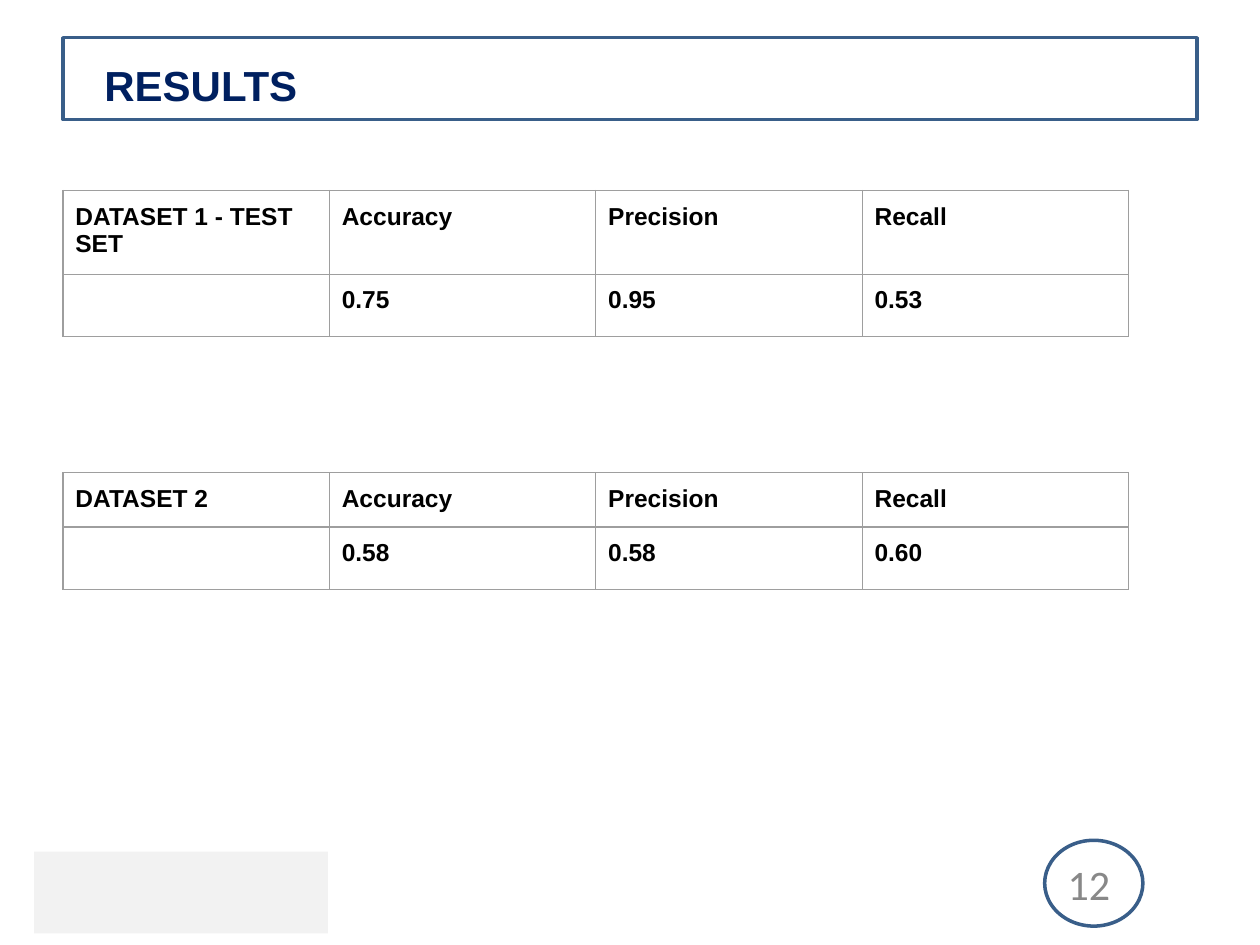
from dataclasses import dataclass

import pptx
import pptx.dml.color
import pptx.enum.shapes
import pptx.enum.text
import pptx.oxml
import pptx.oxml.ns
import pptx.util

Cm = pptx.util.Cm
Pt = pptx.util.Pt
SHAPES = pptx.enum.shapes.MSO_SHAPE
ALIGN = pptx.enum.text.PP_ALIGN
MIDDLE = pptx.enum.text.MSO_ANCHOR.MIDDLE


@dataclass(frozen=True)
class Theme:
    navy: str = "002060"
    outline: str = "395E89"
    panel: str = "F2F2F2"
    number: str = "888888"
    ink: str = "000000"
    grid: str = "9E9E9E"
    heading_size: int = 24
    cell_size: int = 14
    outline_width: int = 2
    grid_width: float = 0.75


theme = Theme()


def add_span(para, text, font, size, color, bold=False):
    span = para.add_run()
    span.text = text
    span.font.name = font
    span.font.size = Pt(size)
    span.font.bold = bold
    span.font.color.rgb = pptx.dml.color.RGBColor.from_string(color)


def add_borders(cell):
    """Draw a thin line on all four sides of a table cell."""
    properties = cell._tc.get_or_add_tcPr()
    for index, side in enumerate(("lnL", "lnR", "lnT", "lnB")):
        properties.insert(index, pptx.oxml.parse_xml(
            f'<a:{side} {pptx.oxml.ns.nsdecls("a")} w="{Pt(theme.grid_width)}">'
            f'<a:solidFill><a:srgbClr val="{theme.grid}"/></a:solidFill></a:{side}>'))


deck = pptx.Presentation()
deck.slide_width = Cm(25.4)
deck.slide_height = Cm(19.05)
page = deck.slides.add_slide(deck.slide_layouts[5])

# Footer panel, title frame and number ring
decorations = [
    (SHAPES.RECTANGLE, 0.69, 17.17, 5.92, 1.65, theme.panel, None),
    (SHAPES.RECTANGLE, 1.27, 0.76, 22.86, 1.65, None, theme.outline),
    (SHAPES.OVAL, 21.06, 16.94, 1.98, 1.73, None, theme.outline),
]
for kind, left, top, width, height, fill, line in decorations:
    shape = page.shapes.add_shape(kind, Cm(left), Cm(top), Cm(width), Cm(height))
    shape.shadow.inherit = False
    if fill:
        shape.fill.solid()
        shape.fill.fore_color.rgb = pptx.dml.color.RGBColor.from_string(fill)
    else:
        shape.fill.background()
    if line:
        shape.line.color.rgb = pptx.dml.color.RGBColor.from_string(line)
        shape.line.width = Pt(theme.outline_width)
    else:
        shape.line.fill.background()

# Title
title = page.shapes.title
title.left, title.top, title.width, title.height = Cm(1.85), Cm(1.19), Cm(22.43), Cm(1.02)
title.text_frame.vertical_anchor = MIDDLE
para = title.text_frame.paragraphs[0]
para.alignment = ALIGN.LEFT
add_span(para, "RESULTS", "Arial", theme.heading_size, theme.navy, bold=True)

# Page number
number_box = page.shapes.add_textbox(Cm(16.71), Cm(17.2), Cm(5.92), Cm(1.22))
number_box.text_frame.word_wrap = True
number_box.text_frame.vertical_anchor = MIDDLE
para = number_box.text_frame.paragraphs[0]
para.alignment = ALIGN.RIGHT
add_span(para, "12", "Calibri", theme.heading_size, theme.number)

# Result tables
metrics = ["Accuracy", "Precision", "Recall"]
results = [
    (3.84, "DATASET 1 - TEST SET", ["0.75", "0.95", "0.53"]),
    (9.53, "DATASET 2", ["0.58", "0.58", "0.60"]),
]
column_width, row_height, cell_margin = Cm(5.37), Cm(1.07), Cm(0.25)
for top, dataset, scores in results:
    rows = [[dataset] + metrics, [""] + scores]
    table = page.shapes.add_table(
        len(rows), len(rows[0]), Cm(1.27), Cm(top),
        column_width * len(rows[0]), row_height * len(rows)).table
    table.first_row = False
    table.horz_banding = False
    for row_index, row in enumerate(rows):
        for column_index, text in enumerate(row):
            cell = table.cell(row_index, column_index)
            cell.margin_left = cell.margin_right = cell_margin
            cell.margin_top = cell.margin_bottom = cell_margin
            cell.fill.background()
            add_borders(cell)
            if text:
                add_span(cell.text_frame.paragraphs[0], text, "Arial",
                         theme.cell_size, theme.ink, bold=True)

deck.save("out.pptx")
